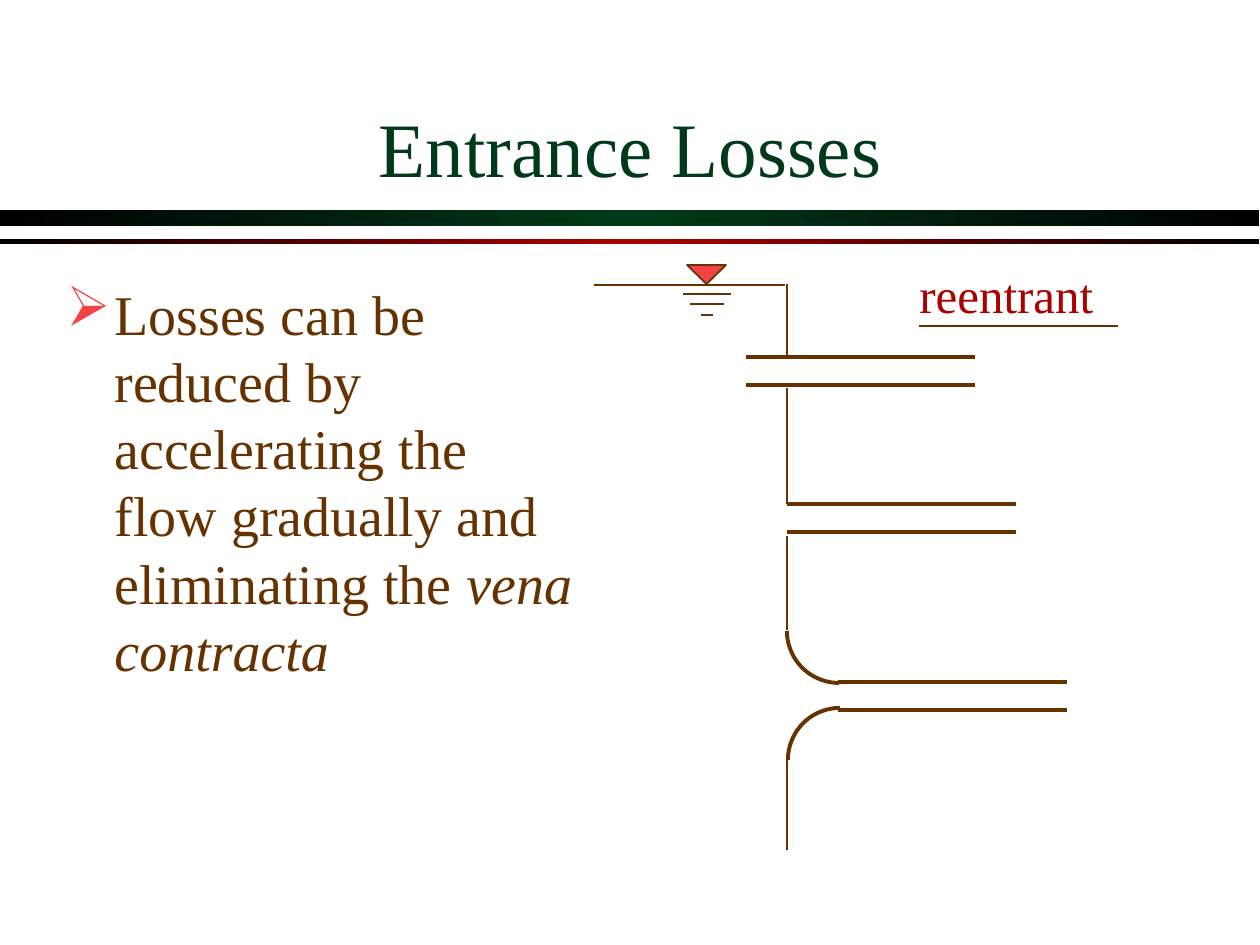
from copy import deepcopy
from math import cos, radians, sin

from lxml import etree
from pptx import Presentation
from pptx.dml.color import RGBColor
from pptx.enum.shapes import MSO_CONNECTOR, MSO_SHAPE
from pptx.enum.text import MSO_ANCHOR, PP_ALIGN
from pptx.oxml.ns import qn
from pptx.util import Emu, Pt

PX = 914400 / 126
BROWN, GREEN, RED, CORAL = "663300", "003A1A", "AC0000", "F14343"
FONT = "Times New Roman"
rgb = RGBColor.from_string


def px(*lengths):
    return [Emu(round(n * PX)) for n in lengths]


def style_run(run, size, color):
    run.font.name, run.font.size = FONT, Pt(size)
    run.font.color.rgb = rgb(color)


prs = Presentation()
prs.slide_width, prs.slide_height = px(1260, 945)
slide = prs.slides.add_slide(prs.slide_layouts[6])
shapes = slide.shapes

# Two bars that fade to black at both ends
for top, height, color in [(210, 16, GREEN), (239, 5, RED)]:
    bar = shapes.add_shape(MSO_SHAPE.RECTANGLE, *px(0, top, 1259, height))
    bar.shadow.inherit = False
    bar.line.fill.background()
    bar.fill.gradient()
    bar.fill.gradient_angle = 0
    stop_list = bar._element.spPr.find(".//" + qn("a:gsLst"))
    stop_list.append(deepcopy(stop_list[0]))
    for stop, position, shade in zip(bar.fill.gradient_stops, (0, 0.5, 1), ("000000", color, "000000")):
        stop.position = position
        stop.color.rgb = rgb(shade)

# Title with a text shadow
title = shapes.add_textbox(*px(95, 42, 1071, 157)).text_frame
title.word_wrap = True
title.vertical_anchor = MSO_ANCHOR.BOTTOM
title.text = "Entrance Losses"
heading = title.paragraphs[0]
heading.alignment = PP_ALIGN.CENTER
style_run(heading.runs[0], 44, GREEN)
effects = etree.Element(qn("a:effectLst"))
shadow = etree.SubElement(effects, qn("a:outerShdw"), dist="35921", dir="2700000")
etree.SubElement(shadow, qn("a:srgbClr"), val="000000")
heading.runs[0].font._element.find(qn("a:solidFill")).addnext(effects)

# Bulleted statement
body = shapes.add_textbox(*px(54, 273, 538, 602)).text_frame
body.word_wrap = True
statement = body.paragraphs[0]
indent = px(48)[0]
bullet_props = statement._p.get_or_add_pPr()
bullet_props.set("marL", str(indent))
bullet_props.set("indent", str(-indent))
bullet_color = etree.SubElement(bullet_props, qn("a:buClr"))
etree.SubElement(bullet_color, qn("a:srgbClr"), val=CORAL)
etree.SubElement(bullet_props, qn("a:buChar"), char="➢")
for words, italic in [
    ("Losses can be reduced by accelerating the flow gradually and eliminating the ", False),
    ("vena contracta", True),
]:
    run = statement.add_run()
    run.text = words
    style_run(run, 32, BROWN)
    run.font.italic = italic

# Water surface marker
marker = shapes.add_shape(MSO_SHAPE.ISOSCELES_TRIANGLE, *px(687, 265, 39, 19))
marker.rotation = 180
marker.shadow.inherit = False
marker.fill.solid()
marker.fill.fore_color.rgb = rgb(CORAL)
marker.line.color.rgb = rgb(BROWN)
marker.line.width = Pt(1)

# Straight lines: x1, y1, x2, y2
water_lines = [(594, 285, 785, 285), (683, 294, 731, 294), (690, 304, 724, 304), (701, 315, 713, 315)]
tank_walls = [(787, top, 787, bottom) for top, bottom in [(284, 356), (388, 504), (536, 630), (756, 850)]]
label_rule = [(919, 326, 1118, 326)]
pipes = [
    (left, y, left + 229, y)
    for left, top in [(746, 357), (787, 504), (838, 682)]
    for y in (top, top + 28)
]
for lines, width in [(water_lines + tank_walls + label_rule, 1), (pipes, 2.25)]:
    for ends in lines:
        line = shapes.add_connector(MSO_CONNECTOR.STRAIGHT, *px(*ends))
        line.line.color.rgb = rgb(BROWN)
        line.line.width = Pt(width)
        etree.SubElement(line._element.spPr, qn("a:effectLst"))

# Rounded inlet: quarter circles given by centre and start angle
RADIUS = 52
for center_x, center_y, start in [(839, 631, 90), (840, 760, 180)]:
    points = [
        (center_x + RADIUS * cos(radians(angle)), center_y + RADIUS * sin(radians(angle)))
        for angle in range(start, start + 91, 5)
    ]
    builder = shapes.build_freeform(*px(*points[0]))
    builder.add_line_segments([px(*point) for point in points[1:]], close=False)
    curve = builder.convert_to_shape()
    curve.shadow.inherit = False
    curve.fill.background()
    curve.line.color.rgb = rgb(BROWN)
    curve.line.width = Pt(2.25)

label = shapes.add_textbox(*px(907, 258, 199, 72)).text_frame
label.word_wrap = False
label.text = "reentrant"
style_run(label.paragraphs[0].runs[0], 28, RED)

prs.save("out.pptx")
